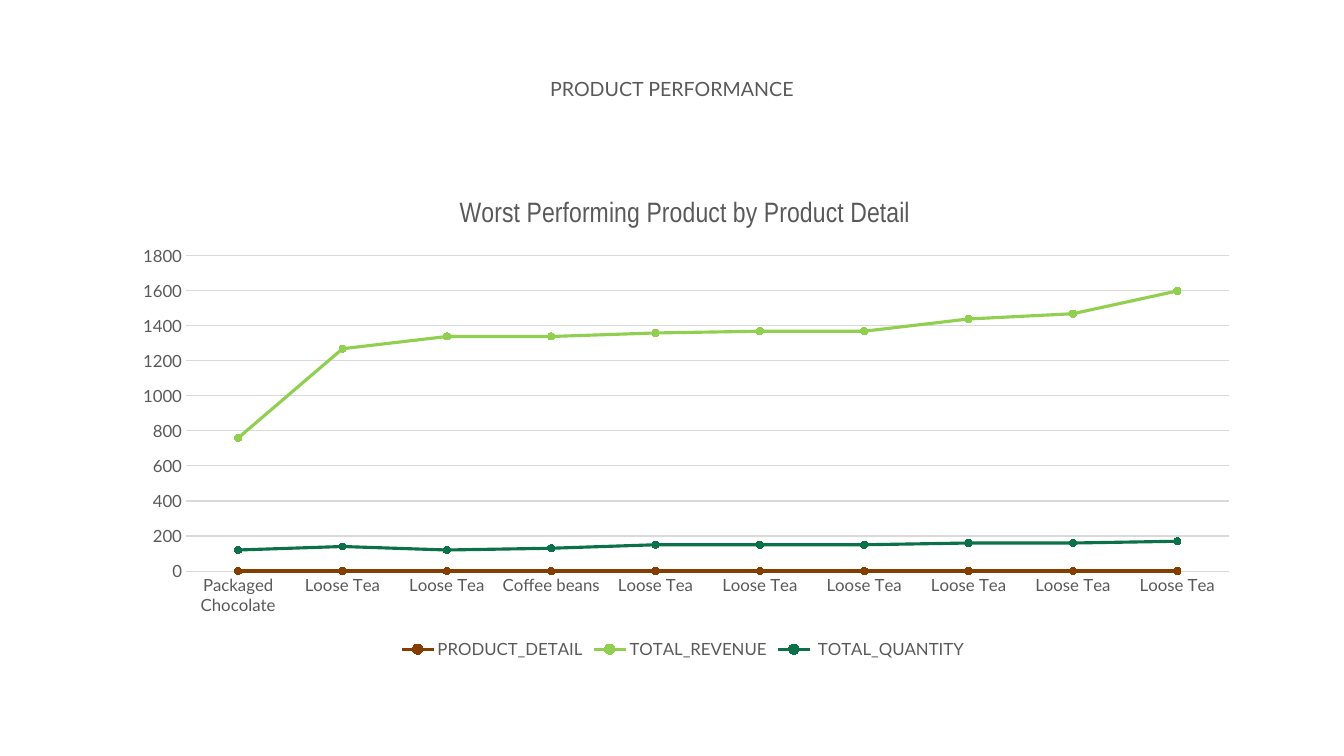
"""Build the product performance slide with a line chart of the worst sellers."""
from lxml import etree
from pptx import Presentation
from pptx.chart.data import CategoryChartData
from pptx.dml.color import RGBColor
from pptx.enum.chart import XL_CHART_TYPE, XL_LEGEND_POSITION, XL_MARKER_STYLE, XL_TICK_MARK
from pptx.enum.text import MSO_ANCHOR, PP_ALIGN
from pptx.oxml.ns import qn
from pptx.util import Inches, Pt

LINE_MARKERS = XL_CHART_TYPE.LINE_MARKERS
BOTTOM = XL_LEGEND_POSITION.BOTTOM
CIRCLE = XL_MARKER_STYLE.CIRCLE
NO_TICK = XL_TICK_MARK.NONE
MIDDLE = MSO_ANCHOR.MIDDLE
CENTER = PP_ALIGN.CENTER

WHITE = RGBColor(0xFF, 0xFF, 0xFF)
BLACK = RGBColor(0x00, 0x00, 0x00)
GRAY = RGBColor(0x59, 0x59, 0x59)
RULE = RGBColor(0xD9, 0xD9, 0xD9)
BROWN = RGBColor(0x84, 0x3F, 0x00)
LIME = RGBColor(0x91, 0xCF, 0x50)
GREEN = RGBColor(0x0B, 0x71, 0x49)

BODY_FONT = "Lato"
CHART_TITLE_FONT = "Arial Narrow"

PRODUCTS = ["Packaged Chocolate", "Loose Tea", "Loose Tea", "Coffee beans"] + ["Loose Tea"] * 6
MEASURES = [
    ("PRODUCT_DETAIL", [0] * 10, BROWN),
    ("TOTAL_REVENUE", [760, 1270, 1340, 1340, 1360, 1370, 1370, 1440, 1470, 1600], LIME),
    (" TOTAL_QUANTITY ", [120, 140, 120, 130, 150, 150, 150, 160, 160, 170], GREEN),
]
PLOT_AREA = {"x": 0.06, "y": 0.16, "w": 0.92, "h": 0.65}


def style_font(font, size, color=GRAY, name=BODY_FONT):
    """Set the size, colour and typeface of a font."""
    font.size = Pt(size)
    font.color.rgb = color
    font.name = name
    font.bold = False


def style_line(line, color, width):
    """Set the colour and width of a line."""
    line.color.rgb = color
    line.width = Pt(width)


def add_heading(slide, text):
    """Fill and place the title placeholder."""
    heading = slide.shapes.title
    heading.left, heading.top = Inches(1.04), Inches(0.53)
    heading.width, heading.height = Inches(11.25), Inches(0.7)
    frame = heading.text_frame
    frame.word_wrap = True
    frame.vertical_anchor = MIDDLE
    frame.margin_left = frame.margin_right = Inches(0.1)
    frame.margin_top = frame.margin_bottom = 0
    paragraph = frame.paragraphs[0]
    paragraph.alignment = CENTER
    run = paragraph.add_run()
    run.text = text
    style_font(run.font, 14)


def style_axis(axis):
    """Give an axis its label font and remove its tick marks."""
    axis.major_tick_mark = axis.minor_tick_mark = NO_TICK
    style_font(axis.tick_labels.font, 12)


def fix_plot_area(chart):
    """Pin the inner plot area to fractions of the chart frame."""
    plot_area = chart.plots[0]._element.getparent()
    layout = plot_area.find(qn("c:layout"))
    if layout is None:
        layout = etree.Element(qn("c:layout"))
        plot_area.insert(0, layout)
    manual = etree.SubElement(layout, qn("c:manualLayout"))
    settings = {"layoutTarget": "inner", "xMode": "edge", "yMode": "edge", **PLOT_AREA}
    for tag, value in settings.items():
        etree.SubElement(manual, qn(f"c:{tag}")).set("val", str(value))


def add_chart_title(chart, text):
    """Write the chart title above the plot."""
    chart.has_title = True
    chart.chart_title.include_in_layout = False
    run = chart.chart_title.text_frame.paragraphs[0].add_run()
    run.text = text
    style_font(run.font, 20, name=CHART_TITLE_FONT)


def add_product_chart(slide):
    """Add the line chart of revenue and quantity by product."""
    chart_data = CategoryChartData()
    chart_data.categories = PRODUCTS
    for name, values, _ in MEASURES:
        chart_data.add_series(name, values)
    chart = slide.shapes.add_chart(
        LINE_MARKERS, Inches(1.17), Inches(1.77), Inches(11.25), Inches(4.81), chart_data
    ).chart
    style_font(chart.font, 10, BLACK)
    add_chart_title(chart, "Worst Performing Product by Product Detail")

    chart.has_legend = True
    chart.legend.position = BOTTOM
    chart.legend.include_in_layout = False
    style_font(chart.legend.font, 12)

    products, amounts = chart.category_axis, chart.value_axis
    style_axis(products)
    style_axis(amounts)
    style_line(products.format.line, RULE, 0.75)
    amounts.format.line.fill.background()
    amounts.has_major_gridlines = True
    style_line(amounts.major_gridlines.format.line, RULE, 0.75)
    amounts.minimum_scale, amounts.maximum_scale, amounts.major_unit = 0, 1800, 200

    chart.plots[0].vary_by_categories = False
    for series, (_, _, color) in zip(chart.plots[0].series, MEASURES):
        series.smooth = False
        style_line(series.format.line, color, 2.25)
        series.marker.style = CIRCLE
        series.marker.size = 5
        series.marker.format.fill.solid()
        series.marker.format.fill.fore_color.rgb = color
        series.marker.format.line.color.rgb = color
    fix_plot_area(chart)


def main():
    """Build and save the slide."""
    deck = Presentation()
    deck.slide_width, deck.slide_height = Inches(13.33), Inches(7.5)
    slide = deck.slides.add_slide(deck.slide_layouts[5])
    slide.background.fill.solid()
    slide.background.fill.fore_color.rgb = WHITE
    add_heading(slide, "PRODUCT PERFORMANCE")
    add_product_chart(slide)
    deck.save("out.pptx")


if __name__ == "__main__":
    main()
